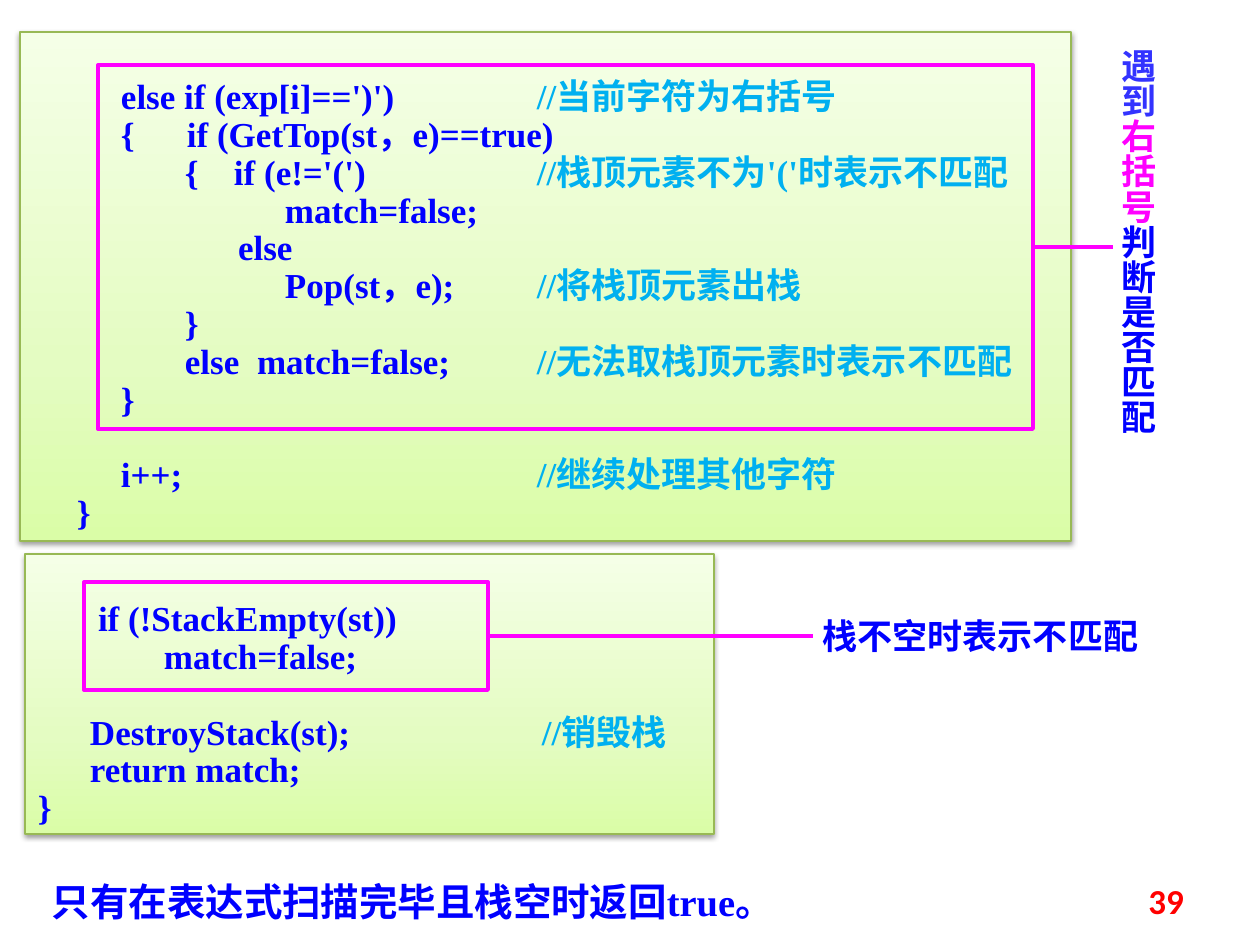
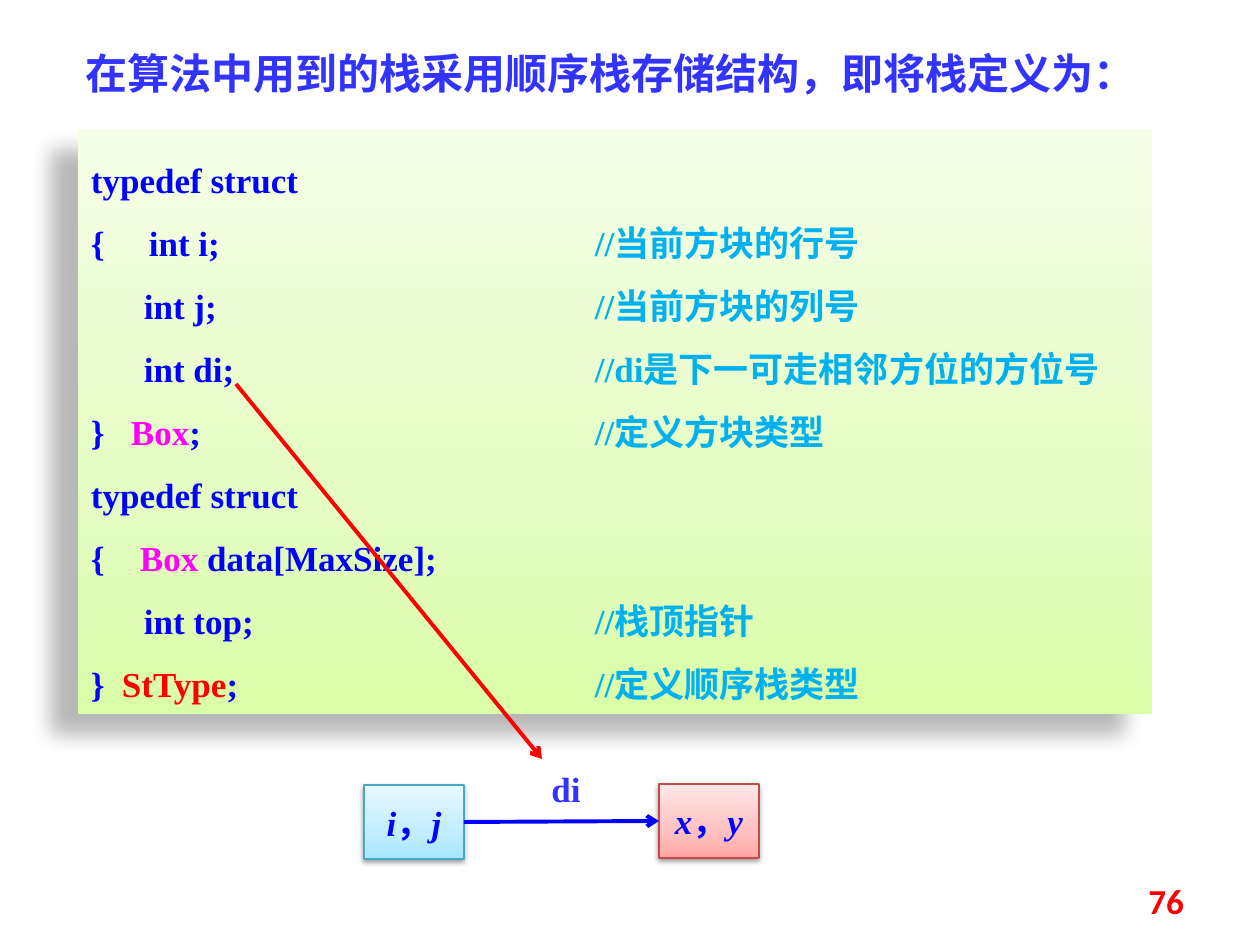
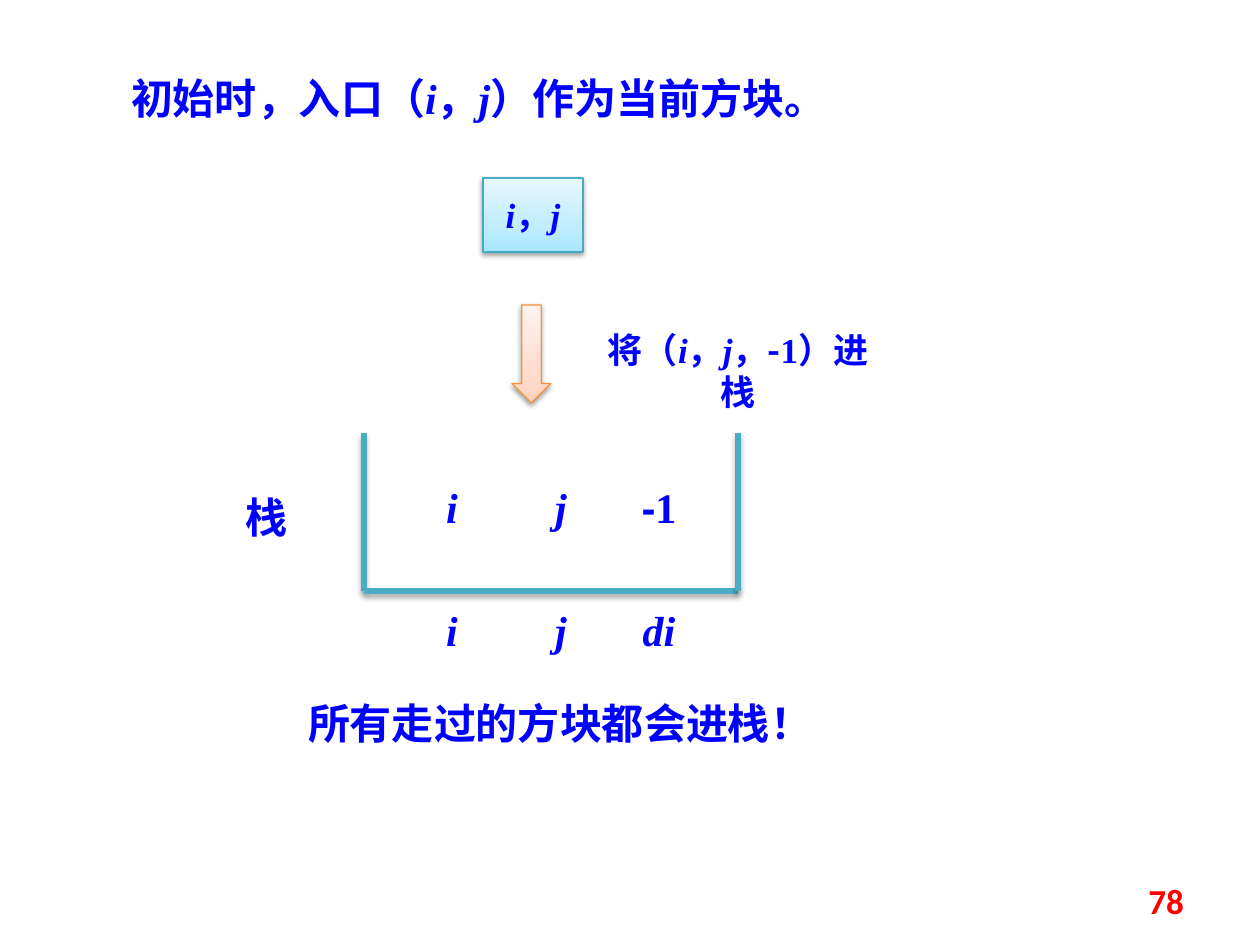
"""Build three lecture slides on stacks: bracket matching and maze search."""
from lxml import etree
from pptx import Presentation
from pptx.dml.color import RGBColor
from pptx.enum.shapes import MSO_CONNECTOR, MSO_SHAPE
from pptx.enum.text import MSO_ANCHOR, PP_ALIGN
from pptx.oxml.ns import qn
from pptx.util import Emu, Pt

STRAIGHT = MSO_CONNECTOR.STRAIGHT
RECTANGLE, DOWN_ARROW = MSO_SHAPE.RECTANGLE, MSO_SHAPE.DOWN_ARROW
LEFT, CENTER, RIGHT = PP_ALIGN.LEFT, PP_ALIGN.CENTER, PP_ALIGN.RIGHT
TOP, MIDDLE = MSO_ANCHOR.TOP, MSO_ANCHOR.MIDDLE
LEFT_SIDE, RIGHT_SIDE = 1, 3

EMU_PER_PX = 914400 / 126
SERIF, SANS = "Times New Roman", "Noto Sans CJK SC"
COLORS = {
    "blue": "0000FF", "violet": "3333FF", "sky": "00B0F0", "pink": "FF00FF",
    "red": "FF0000", "teal": "4BACC6", "green edge": "98B955",
    "teal edge": "46AAC5", "red edge": "BF4C48", "orange edge": "F69240",
    "black": "000000",
}
GRADIENTS = {
    "green": ("DAFDA7", "E4FCC2", "F5FFE7"),
    "teal": ("A7E6FF", "C1EDFF", "E7F8FF"),
    "red": ("FFA6A5", "FFC0BF", "FFE7E7"),
    "orange": ("FFD2BD", "FFDED0", "FFF2ED"),
}
STYLES = {
    "code": (SERIF, "blue", False), "note": (SERIF, "sky", False),
    "type": (SERIF, "pink", False), "stack type": (SERIF, "red", False),
    "variable": (SERIF, "blue", True), "direction": (SERIF, "violet", False),
    "label": (SANS, "blue", False), "heading": (SANS, "violet", False),
    "accent": (SANS, "pink", False), "minus": ("Arial", "blue", False),
    "number": ("Calibri", "red", False),
}
SOFT_SHADOW = (38, 3.1, 1.6, 90)
LINE_SHADOW = (35, 3.1, 1.8, 90)
DEEP_SHADOW = (28, 11.8, 19.7, 141)

COMMENT = 504
RIGHT_BRACKET_CODE = [
    [(88, "else if (exp[i]==')')"), (COMMENT, "//当前字符为右括号")],
    [(88, "{"), (154, "if (GetTop(st，e)==true)")],
    [(152, "{"), (201, "if (e!='(')"), (COMMENT, "//栈顶元素不为'('时表示不匹配")],
    [(252, "match=false;")],
    [(205, "else")],
    [(252, "Pop(st，e);"), (COMMENT, "//将栈顶元素出栈")],
    [(152, "}")],
    [(152, "else"), (224, "match=false;"), (COMMENT, "//无法取栈顶元素时表示不匹配")],
    [(88, "}")],
    [(88, "i++;"), (COMMENT, "//继续处理其他字符")],
    [(44, "}")],
]
FINISH_CODE = [
    [(60, "if (!StackEmpty(st))")],
    [(126, "match=false;")],
    [(52, "DestroyStack(st);"), (COMMENT, "//销毁栈")],
    [(52, "return match;")],
    [(0, "}")],
]
STACK_TYPE_CODE = [
    [(0, "typedef struct")],
    [(0, "{"), (58, "int i;"), (COMMENT, "//当前方块的行号")],
    [(53, "int j;"), (COMMENT, "//当前方块的列号")],
    [(53, "int di;"), (COMMENT, "//di是下一可走相邻方位的方位号")],
    [(0, "}"), (40, "Box", "type"), (None, ";"), (COMMENT, "//定义方块类型")],
    [(0, "typedef struct")],
    [(0, "{"), (49, "Box", "type"), (None, " data[MaxSize];")],
    [(53, "int top;"), (COMMENT, "//栈顶指针")],
    [(0, "}"), (31, "StType", "stack type"), (None, ";"), (COMMENT, "//定义顺序栈类型")],
]


def px(length):
    """Turn a length in px into EMU."""
    return Emu(round(length * EMU_PER_PX))


def rgb(name):
    """Look up a named colour."""
    return RGBColor.from_string(COLORS[name])


def add_span(para, text, style, size):
    """Add one bold run in a named style."""
    face, color, italic = STYLES[style]
    span = para.add_run()
    span.text = text
    span.font.name, span.font.size = face, Pt(size)
    span.font.bold, span.font.italic = True, italic
    span.font.color.rgb = rgb(color)
    east = etree.SubElement(span.font._element, qn("a:ea"))
    east.set("typeface", SANS)


def set_frame(frame, anchor=TOP, top=9, wrap=True):
    """Set the insets, anchor and wrapping of a text frame."""
    frame.word_wrap, frame.vertical_anchor = wrap, anchor
    frame.margin_left = frame.margin_right = px(13)
    frame.margin_top, frame.margin_bottom = px(top), px(6)


def add_label(page, box, spans, size=20, align=CENTER, vertical=False):
    """Add a text box holding one paragraph of styled spans."""
    frame = page.shapes.add_textbox(*map(px, box)).text_frame
    set_frame(frame)
    if vertical:
        frame._txBody.bodyPr.set("vert", "eaVert")
    para = frame.paragraphs[0]
    para.alignment, para.line_spacing = align, Pt(size * 1.2)
    for text, style in spans:
        add_span(para, text, style, size)


def add_page_number(page, number):
    """Add the slide number at the lower right."""
    frame = page.shapes.add_textbox(*map(px, (903, 876, 294, 50))).text_frame
    set_frame(frame, MIDDLE, 6)
    para = frame.paragraphs[0]
    para.alignment = RIGHT
    add_span(para, str(number), "number", 20)


def add_shadow(properties, shadow=None):
    """Append an effect list, empty or with one outer shadow."""
    effects = etree.SubElement(properties, qn("a:effectLst"))
    if shadow:
        alpha, blur, distance, angle = shadow
        outer = etree.SubElement(effects, qn("a:outerShdw"), blurRad=str(Pt(blur)),
                                 dist=str(Pt(distance)), dir=str(angle * 60000),
                                 rotWithShape="0")
        color = etree.SubElement(outer, qn("a:srgbClr"), val=COLORS["black"])
        etree.SubElement(color, qn("a:alpha"), val=str(alpha * 1000))


def add_gradient_shape(page, kind, box, gradient, edge=None, shadow=SOFT_SHADOW):
    """Add a shape with a vertical gradient, a thin edge and a shadow."""
    shape = page.shapes.add_shape(kind, *map(px, box))
    shape.fill.gradient()
    shape.fill.gradient_angle = 90
    stops = shape._element.spPr.find(".//" + qn("a:gsLst"))
    for stop in list(stops):
        stops.remove(stop)
    for position, color in zip((0, 35, 100), GRADIENTS[gradient]):
        stop = etree.SubElement(stops, qn("a:gs"), pos=str(position * 1000))
        etree.SubElement(stop, qn("a:srgbClr"), val=color)
    if edge:
        shape.line.color.rgb, shape.line.width = rgb(edge), Pt(0.75)
    else:
        shape.line.fill.background()
    add_shadow(shape._element.spPr, shadow)
    return shape


def add_line(page, start, end, color, width=2.25, arrow=False, shadow=None):
    """Add a straight connector, with an arrowhead if asked."""
    line = page.shapes.add_connector(STRAIGHT, *map(px, start + end))
    line.line.color.rgb, line.line.width = rgb(color), Pt(width)
    if arrow:
        etree.SubElement(line.line._get_or_add_ln(), qn("a:tailEnd"), type="arrow")
    add_shadow(line._element.spPr, shadow)
    return line


def add_code(panel, lines, spacing, top=9, gap_before=None):
    """Write code lines into a panel, each piece at its own tab stop."""
    frame = panel.text_frame
    set_frame(frame, top=top)
    for index, pieces in enumerate(lines):
        para = frame.paragraphs[0] if index == 0 else frame.add_paragraph()
        para.alignment, para.line_spacing = LEFT, Pt(24 * spacing)
        if index == gap_before:
            para.space_before = Pt(24 * spacing)
        tabs = etree.SubElement(para._p.get_or_add_pPr(), qn("a:tabLst"))
        for position, text, *style in pieces:
            if position:
                etree.SubElement(tabs, qn("a:tab"), pos=str(px(position)), algn="l")
                text = "\t" + text
            default = "note" if position == COMMENT else "code"
            add_span(para, text, style[0] if style else default, 20)


def add_callout(page, box, reach):
    """Frame some code in pink and lead a line off to its remark."""
    left, top, width, height = box
    frame = page.shapes.add_shape(RECTANGLE, *map(px, box))
    frame.fill.background()
    frame.line.color.rgb, frame.line.width = rgb("pink"), Pt(2.25)
    frame.shadow.inherit = False
    middle = top + height // 2
    line = add_line(page, (left + width, middle), (left + width + reach, middle), "pink")
    line.begin_connect(frame, RIGHT_SIDE)


def add_square(page, corner, names, gradient):
    """Add a maze square marked with its two coordinates."""
    square = add_gradient_shape(page, RECTANGLE, corner + (100, 74), gradient,
                                gradient + " edge")
    set_frame(square.text_frame, MIDDLE, 6, wrap=False)
    para = square.text_frame.paragraphs[0]
    para.alignment = CENTER
    for text, style in coordinates(*names):
        add_span(para, text, style, 20)
    return square


def coordinates(first, second):
    """Return the spans of a coordinate pair."""
    return [(first, "variable"), ("，", "code"), (second, "variable")]


def add_square_step(page, box):
    """Draw the step from one square to the next in direction di."""
    left, top, width, height = box
    current = add_square(page, (left, top + height - 74), "ij", "teal")
    following = add_square(page, (left + width - 100, top + height - 75), "xy", "red")
    middle = top + height - 37
    step = add_line(page, (left + 100, middle), (left + width - 100, middle),
                    "blue", arrow=True)
    step.begin_connect(current, RIGHT_SIDE)
    step.end_connect(following, LEFT_SIDE)
    add_label(page, (left + 158, top, 88, 55), [("di", "direction")])


def add_stack(page, box):
    """Draw an open stack with one entry and the field names below."""
    left, top, width, height = box
    right, bottom = left + width, top + height
    rows = (
        (top + 40, ([("i", "variable")], [("j", "variable")],
                    [("-", "minus"), ("1", "code")])),
        (bottom + 5, ([("i", "variable")], [("j", "variable")], [("di", "variable")])),
    )
    for row_top, cells in rows:
        for offset, spans in zip((39, 148, 246), cells):
            add_label(page, (left + offset, row_top, 98, 63), spans, 24)
    for start, end in (((left, top), (left, bottom)), ((left, bottom), (right, bottom)),
                       ((right, top), (right, bottom))):
        add_line(page, start, end, "teal", 3, shadow=LINE_SHADOW)
    add_label(page, (left - 157, top + 50, 118, 63), [("栈", "label")], 24)


def build_matching_page(page):
    """Show the end of the bracket matching algorithm."""
    panel = add_gradient_shape(page, RECTANGLE, (20, 32, 1051, 509), "green", "green edge")
    add_code(panel, RIGHT_BRACKET_CODE, 0.9, top=47, gap_before=9)
    add_callout(page, (98, 65, 935, 364), 80)
    add_label(page, (1104, 40, 68, 432),
              [("遇到", "heading"), ("右括号", "accent"), ("判断是否匹配", "label")],
              vertical=True)
    panel = add_gradient_shape(page, RECTANGLE, (25, 554, 689, 280), "green", "green edge")
    add_code(panel, FINISH_CODE, 0.9, top=47, gap_before=2)
    add_callout(page, (84, 582, 404, 108), 325)
    add_label(page, (774, 606, 413, 55), [("栈不空时表示不匹配", "label")])
    add_label(page, (39, 869, 916, 59),
              [("只有在表达式扫描完毕且栈空时返回true。", "code")], 22, LEFT)


def build_stack_type_page(page):
    """Show the type definition of the sequential stack."""
    add_label(page, (59, 39, 1103, 63),
              [("在算法中用到的栈采用顺序栈存储结构，即将栈定义为：", "heading")], 24)
    panel = add_gradient_shape(page, RECTANGLE, (78, 129, 1074, 585), "green",
                               shadow=DEEP_SHADOW)
    add_code(panel, STACK_TYPE_CODE, 1.5)
    add_square_step(page, (364, 759, 395, 100))
    add_line(page, (236, 384), (542, 759), "red", arrow=True)


def build_entry_page(page):
    """Show how the entry square is pushed on the stack."""
    add_square(page, (483, 178), "ij", "teal")
    add_stack(page, (364, 433, 374, 158))
    add_gradient_shape(page, DOWN_ARROW, (512, 305, 39, 98), "orange", "orange edge")
    add_label(page, (578, 319, 320, 97),
              [("将（", "code"), *coordinates("i", "j"), ("，", "code"),
               ("-", "label"), ("1）进栈", "code")])
    add_label(page, (118, 64, 700, 113),
              [("初始时，入口（", "code"), *coordinates("i", "j"),
               ("）作为当前方块。", "code")], 24, LEFT)
    add_label(page, (295, 689, 610, 63), [("所有走过的方块都会进栈！", "label")], 24, LEFT)


def main():
    """Build the deck and save it."""
    deck = Presentation()
    deck.slide_width, deck.slide_height = px(1260), px(945)
    builders = ((39, build_matching_page), (76, build_stack_type_page),
                (78, build_entry_page))
    for number, build in builders:
        page = deck.slides.add_slide(deck.slide_layouts[6])
        build(page)
        add_page_number(page, number)
    deck.save("out.pptx")


if __name__ == "__main__":
    main()
